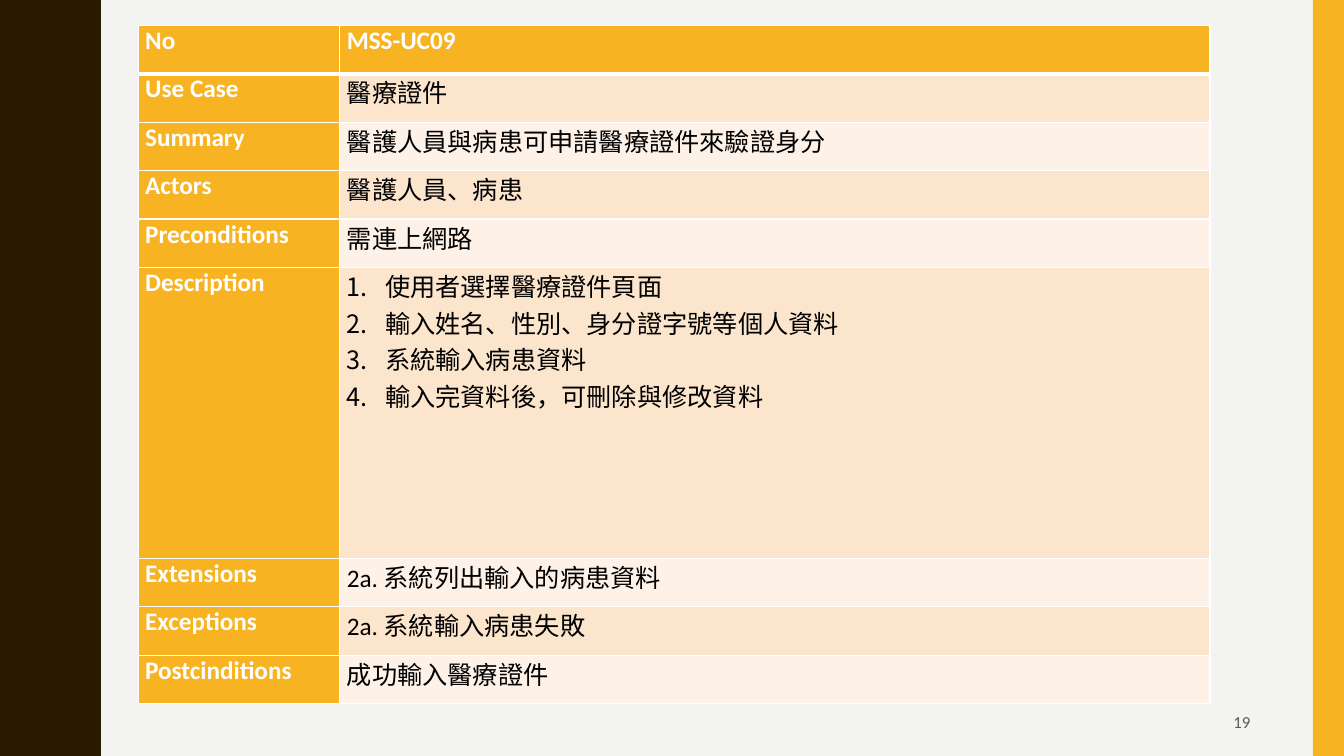
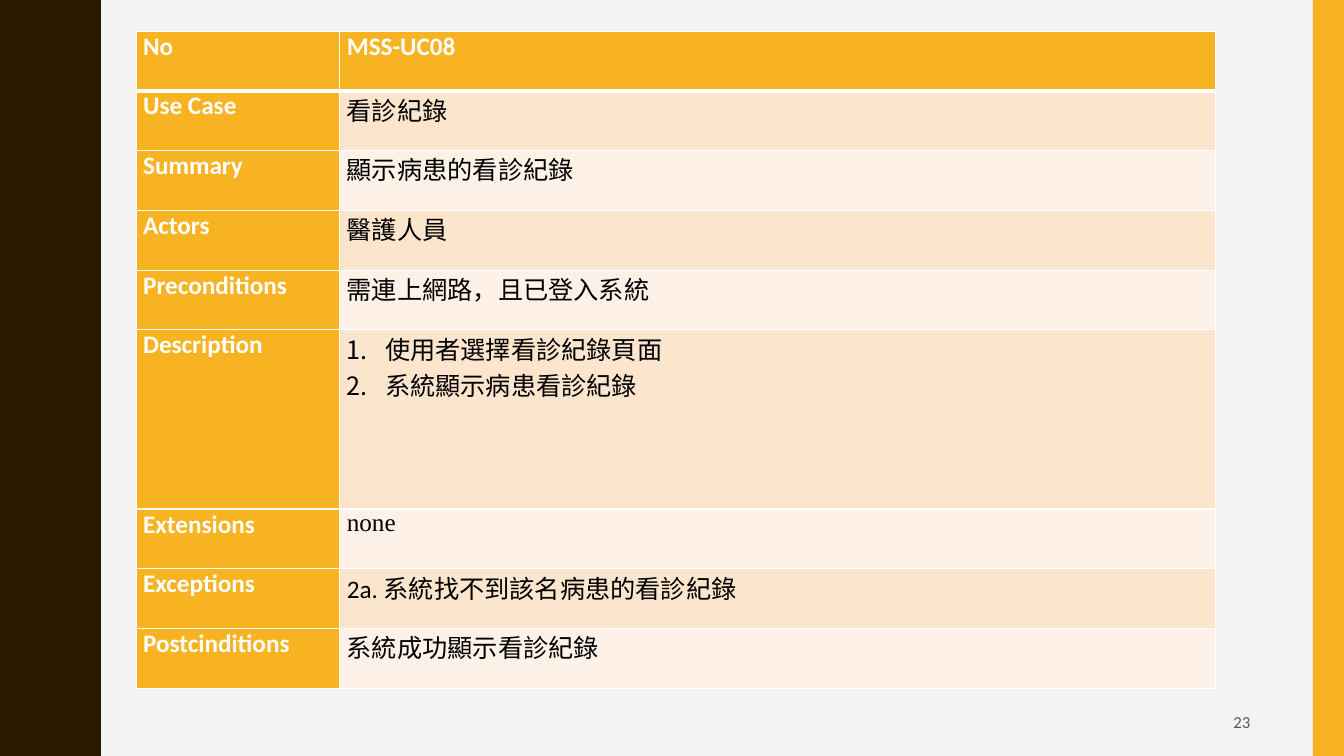
import pptx
import pptx.util
import pptx.dml.color
import pptx.enum.shapes
import pptx.enum.text
import pptx.oxml
import pptx.oxml.ns

Inches = pptx.util.Inches
Pt = pptx.util.Pt
RGBColor = pptx.dml.color.RGBColor

PAPER = RGBColor(0xF3, 0xF3, 0xF2)
BROWN = RGBColor(0x2A, 0x1A, 0x00)
GOLD = RGBColor(0xF8, 0xB3, 0x23)
PEACH = RGBColor(0xFC, 0xE5, 0xCD)
CREAM = RGBColor(0xFE, 0xF2, 0xE8)
WHITE = RGBColor(0xFF, 0xFF, 0xFF)
BLACK = RGBColor(0x00, 0x00, 0x00)
GREY = RGBColor(0x59, 0x59, 0x59)

HEAD = {"name": "Calibri", "size": Pt(18), "bold": True}
BODY = {"name": "Calibri", "size": Pt(18), "bold": False}
SERIF = {"name": "Times New Roman", "size": Pt(18), "bold": False}
PAGE = {"name": "Calibri", "size": Pt(12), "bold": False}
INSET = {"margin_left": Inches(0.07), "margin_right": Inches(0.07),
         "margin_top": 0, "margin_bottom": 0}

LABELS = ["No", "Use Case", "Summary", "Actors", "Preconditions",
          "Description", "Extensions", "Exceptions", "Postcinditions"]
STEPS = LABELS.index("Description")

CASES = [
    {"page": "19", "box": (1.37, 0.25, 10.63, 6.73), "side": 2, "tall": 6,
     "text": ["MSS-UC09", "醫療證件", "醫護人員與病患可申請醫療證件來驗證身分",
              "醫護人員、病患", "需連上網路",
              "使用者選擇醫療證件頁面\n輸入姓名、性別、身分證字號等個人資料\n"
              "系統輸入病患資料\n輸入完資料後，可刪除與修改資料",
              "2a. 系統列出輸入的病患資料", "2a. 系統輸入病患失敗",
              "成功輸入醫療證件"]},
    {"page": "23", "box": (1.35, 0.31, 10.71, 6.52), "side": 2.02, "tall": 3,
     "text": ["MSS-UC08", "看診紀錄", "顯示病患的看診紀錄", "醫護人員",
              "需連上網路，且已登入系統",
              "使用者選擇看診紀錄頁面\n系統顯示病患看診紀錄",
              "none", "2a. 系統找不到該名病患的看診紀錄",
              "系統成功顯示看診紀錄"]},
]

BEND = [(0.78, 0), (0.78, 0.07), (0.79, 0.14), (0.8, 0.2), (0.81, 0.25),
        (0.83, 0.29), (0.85, 0.33), (0.87, 0.38), (0.89, 0.42), (0.91, 0.46),
        (0.93, 0.5), (0.95, 0.55), (0.96, 0.61), (0.97, 0.68), (0.97, 0.75)]
CREST = BEND + [(x, 1.5 - y) for x, y in BEND[-2::-1]]
WAVE = [(x, y + 1.5 * turn) for turn in range(5) for x, y in CREST]


def dress(font, look, tone):
    for key, value in look.items():
        setattr(font, key, value)
    font.color.rgb = tone


def edge(cell, top, base):
    props = cell._tc.get_or_add_tcPr()
    for side, width in (("L", 1), ("R", 1), ("T", top), ("B", base)):
        props.append(pptx.oxml.parse_xml(
            f'<a:ln{side} {pptx.oxml.ns.nsdecls("a")} w="{Pt(width)}">'
            f'<a:solidFill><a:srgbClr val="{WHITE}"/></a:solidFill>'
            f'</a:ln{side}>'))


deck = pptx.Presentation()
deck.slide_width = Inches(13.33)
deck.slide_height = Inches(7.5)
back = deck.slide_master.background.fill
back.solid()
back.fore_color.rgb = PAPER

for case in CASES:
    slide = deck.slides.add_slide(deck.slide_layouts[6])
    shapes = slide.shapes

    pen = shapes.build_freeform(0, 0, scale=Inches(1))
    pen.add_line_segments(WAVE + [(0, 7.5)], close=True)
    wave = pen.convert_to_shape()
    band = shapes.add_shape(pptx.enum.shapes.MSO_SHAPE.RECTANGLE,
                            Inches(13.02), 0, Inches(0.31), Inches(7.5))
    for shape, tone in ((wave, BROWN), (band, GOLD)):
        shape.shadow.inherit = False
        shape.fill.solid()
        shape.fill.fore_color.rgb = tone
        shape.line.fill.background()

    foot = shapes.add_textbox(Inches(9.42), Inches(6.97),
                              Inches(3.08), Inches(0.38)).text_frame
    foot.word_wrap = True
    foot.vertical_anchor = pptx.enum.text.MSO_ANCHOR.MIDDLE
    foot.text = case["page"]
    foot.paragraphs[0].alignment = pptx.enum.text.PP_ALIGN.RIGHT
    dress(foot.paragraphs[0].runs[0].font, PAGE, GREY)

    left, top, width, height = case["box"]
    table = shapes.add_table(len(LABELS), 2, Inches(left), Inches(top),
                             Inches(width), Inches(height)).table
    table.horz_banding = False
    table.columns[0].width = Inches(case["side"])
    table.columns[1].width = Inches(width - case["side"])
    unit = height / (len(LABELS) - 1 + case["tall"])

    for row, pair in enumerate(zip(LABELS, case["text"])):
        table.rows[row].height = Inches(
            unit * (case["tall"] if row == STEPS else 1))
        for col, text in enumerate(pair):
            cell = table.cell(row, col)
            for key, value in INSET.items():
                setattr(cell, key, value)
            edge(cell, 3 if row == 1 else 1, 3 if row == 0 else 1)
            head = row == 0 or col == 0
            cell.fill.solid()
            cell.fill.fore_color.rgb = (
                GOLD if head else PEACH if row % 2 else CREAM)
            cell.text = text
            look = HEAD if head else SERIF if text == "none" else BODY
            for para in cell.text_frame.paragraphs:
                if row == STEPS and col == 1:
                    props = para._p.get_or_add_pPr()
                    props.set("marL", str(Inches(0.38)))
                    props.set("indent", str(-Inches(0.38)))
                    props.append(pptx.oxml.parse_xml(
                        f'<a:buAutoNum {pptx.oxml.ns.nsdecls("a")} '
                        'type="arabicPeriod"/>'))
                dress(para.runs[0].font, look, WHITE if head else BLACK)

deck.save("out.pptx")
